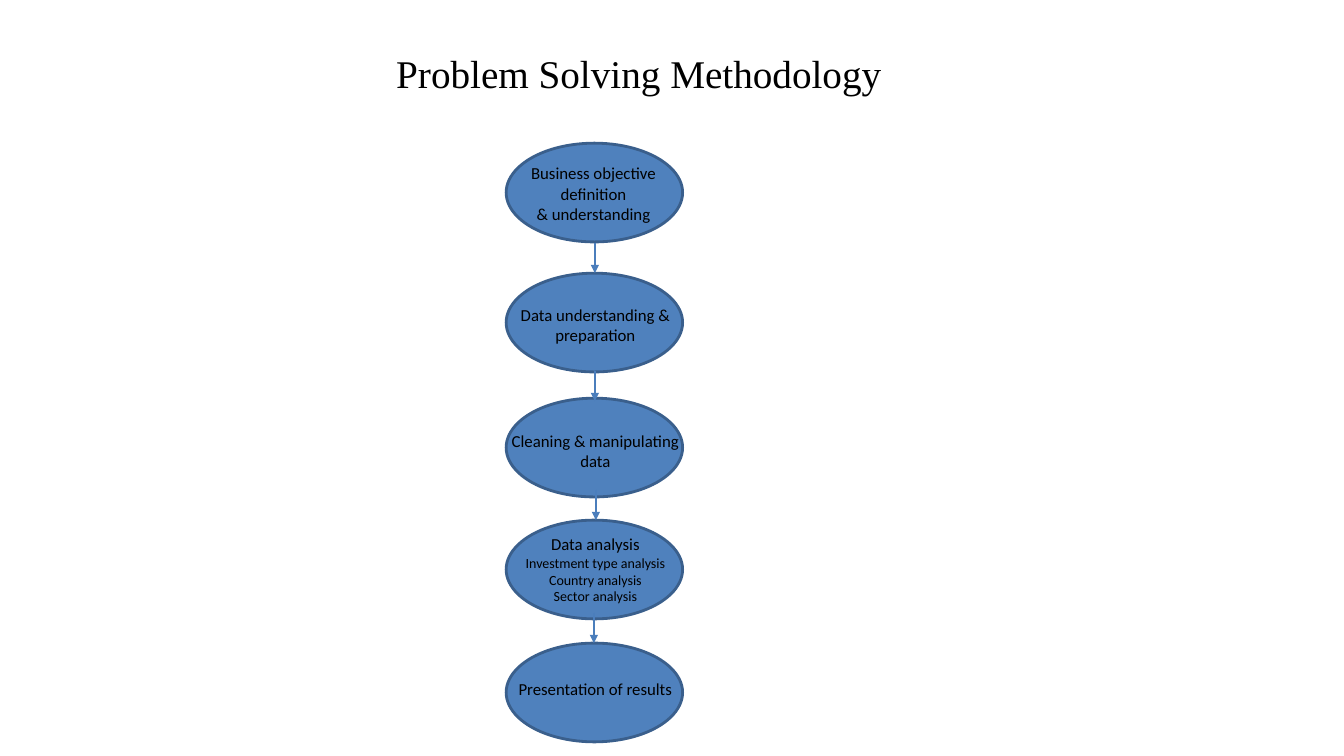
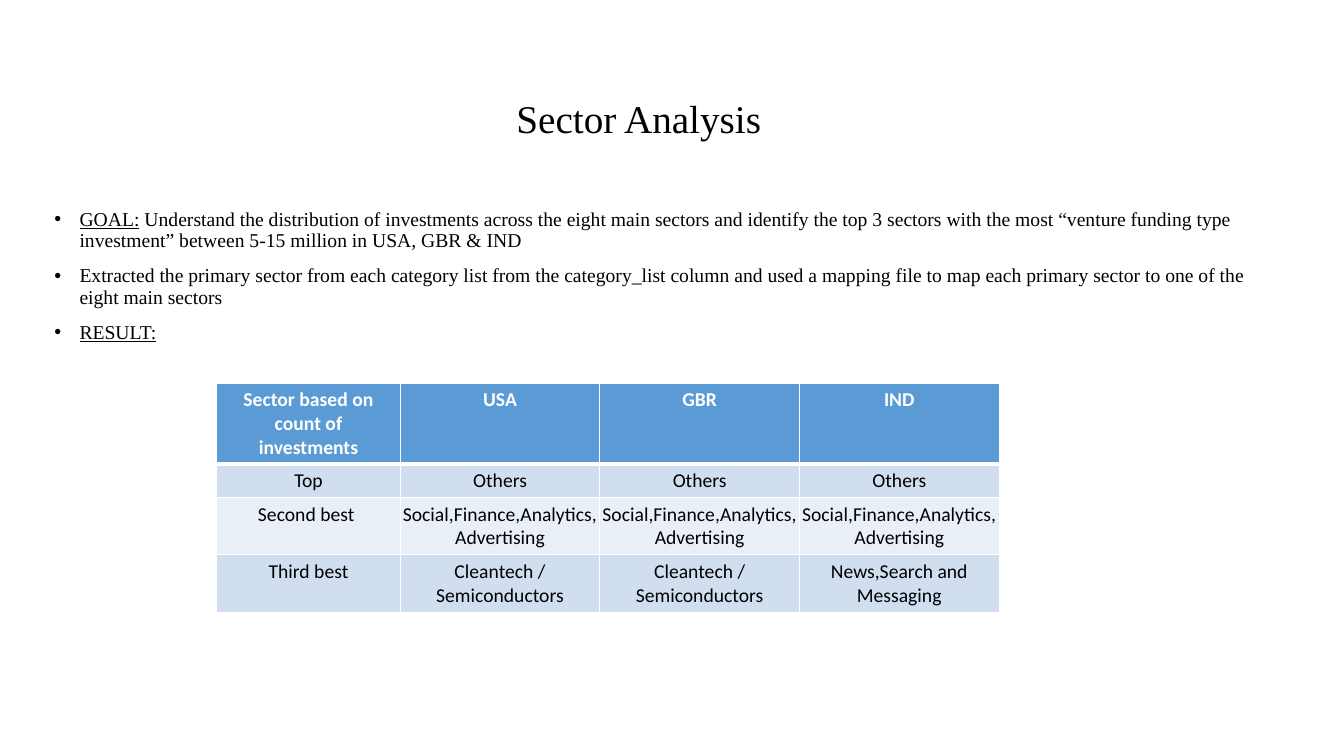
from lxml import etree
from pptx import Presentation
from pptx.dml.color import RGBColor
from pptx.enum.shapes import MSO_CONNECTOR, MSO_SHAPE
from pptx.enum.text import MSO_ANCHOR, PP_ALIGN
from pptx.oxml import parse_xml
from pptx.oxml.ns import nsdecls, qn
from pptx.util import Inches, Pt

CENTER = PP_ALIGN.CENTER
MIDDLE = MSO_ANCHOR.MIDDLE
OVAL = MSO_SHAPE.OVAL
STRAIGHT = MSO_CONNECTOR.STRAIGHT

SERIF, SANS = "Times New Roman", "Calibri"
BLACK, WHITE = "000000", "FFFFFF"
OVAL_FILL, OVAL_LINE, ARROW = "4F81BD", "3A5F8C", "4B7EBC"
HEADER, BAND_DARK, BAND_LIGHT = "5B9BD5", "D1DEEF", "E9EFF7"


def rgb(value):
    return RGBColor.from_string(value)


def add_run(p, text, size, font, color=BLACK, bold=False, underline=False):
    r = p.add_run()
    r.text = text
    r.font.size = Pt(size)
    r.font.name = font
    r.font.color.rgb = rgb(color)
    r.font.bold = bold
    r.font.underline = underline


prs = Presentation()
prs.slide_width, prs.slide_height = Inches(13.33), Inches(7.5)

# Titled slides
slides = []
for title, top in (("Problem Solving Methodology", 0.25), ("Sector Analysis", 0.7)):
    s = prs.slides.add_slide(prs.slide_layouts[5])
    sp = s.shapes.title
    sp.left, sp.top, sp.width, sp.height = Inches(1.24), Inches(top), Inches(10.19), Inches(0.94)
    sp.text_frame.vertical_anchor = MIDDLE
    p = sp.text_frame.paragraphs[0]
    p.alignment = CENTER
    add_run(p, title, 28, SERIF)
    slides.append(s)
flow, sector = slides

# Process steps: oval top, label top, label height, lines with sizes
steps = [
    (1.42, 1.57, 0.7, [("Business objective ", 12), ("definition ", 12), ("& understanding ", 12)]),
    (2.71, 2.97, 0.5, [("Data understanding & preparation", 12)]),
    (3.95, 4.22, 0.5, [("Cleaning & manipulating data", 12)]),
    (5.16, 5.25, 0.8, [("Data analysis", 12), ("Investment type analysis", 10),
                       ("Country analysis", 10), ("Sector analysis", 10)]),
    (6.38, 6.68, 0.3, [("Presentation of results", 12)]),
]
for oval_top, label_top, label_height, lines in steps:
    sp = flow.shapes.add_shape(OVAL, Inches(5.02), Inches(oval_top), Inches(1.75), Inches(0.98))
    sp.shadow.inherit = False
    sp.fill.solid()
    sp.fill.fore_color.rgb = rgb(OVAL_FILL)
    sp.line.color.rgb = rgb(OVAL_LINE)
    sp.line.width = Pt(2)

    label = flow.shapes.add_textbox(Inches(4.81), Inches(label_top), Inches(2.19), Inches(label_height))
    tf = label.text_frame
    tf.word_wrap = True
    tf.margin_left = tf.margin_right = Inches(0.12)
    for i, (text, size) in enumerate(lines):
        p = tf.add_paragraph() if i else tf.paragraphs[0]
        p.alignment = CENTER
        add_run(p, text, size, SANS)

# Arrows between the steps
for x, y in ((5.9, 2.41), (5.9, 3.68), (5.91, 4.86), (5.89, 6.08)):
    arrow = flow.shapes.add_connector(STRAIGHT, Inches(x), Inches(y), Inches(x), Inches(y + 0.3))
    arrow.line.color.rgb = rgb(ARROW)
    arrow.line.width = Pt(1)
    etree.SubElement(arrow.line._get_or_add_ln(), qn("a:tailEnd"), type="triangle")
    etree.SubElement(arrow._element.spPr, qn("a:effectLst"))

# Goal, method and result bullets: (text, underlined) runs
bullets = [
    [("GOAL:", True),
     (" Understand the distribution of investments across the eight main sectors and identify "
      "the top 3 sectors with the most “venture funding type investment” between 5-15 million "
      "in USA, GBR & IND", False)],
    [("Extracted the primary sector from each category list from the category_list column and "
      "used a mapping file to map each primary sector to one of the eight main sectors", False)],
    [("RESULT:", True)],
]
body = sector.shapes.add_textbox(Inches(0.44), Inches(2.03), Inches(12.21), Inches(4.75))
tf = body.text_frame
tf.word_wrap = True
for i, runs in enumerate(bullets):
    p = tf.add_paragraph() if i else tf.paragraphs[0]
    p.line_spacing = 0.9
    p.space_before = Pt(10)
    pPr = p._p.get_or_add_pPr()
    pPr.set("marL", str(Inches(0.25)))
    pPr.set("indent", str(Inches(-0.25)))
    etree.SubElement(pPr, qn("a:buFont"), typeface="Arial")
    etree.SubElement(pPr, qn("a:buChar"), char="•")
    for text, underline in runs:
        add_run(p, text, 14, SERIF, underline=underline)

# Sector table
SOCIAL = "Social,Finance,Analytics,Advertising"
CLEAN = "Cleantech / Semiconductors"
rows = [
    ["Sector based on count of investments", "USA", "GBR", "IND"],
    ["Top", "Others", "Others", "Others"],
    ["Second best ", SOCIAL, SOCIAL, SOCIAL],
    ["Third best", CLEAN, CLEAN, "News,Search and Messaging"],
]
fills = [HEADER, BAND_DARK, BAND_LIGHT, BAND_DARK]
widths = [1.82, 1.98, 1.98, 1.98]
heights = [0.79, 0.33, 0.57, 0.57]
table = sector.shapes.add_table(len(rows), len(widths), Inches(2.15), Inches(3.8),
                                Inches(sum(widths)), Inches(sum(heights))).table
for column, width in zip(table.columns, widths):
    column.width = Inches(width)
for i, texts in enumerate(rows):
    table.rows[i].height = Inches(heights[i])
    for j, text in enumerate(texts):
        cell = table.cell(i, j)
        cell.fill.solid()
        cell.fill.fore_color.rgb = rgb(fills[i])
        if i > 1 and j > 0:
            cell.margin_left = cell.margin_right = Inches(0.01)
        p = cell.text_frame.paragraphs[0]
        p.alignment = CENTER
        add_run(p, text, 14, SANS, BLACK if i else WHITE, bold=i == 0)
        # White borders, thick under the header
        tcPr = cell._tc.get_or_add_tcPr()
        for k, side in enumerate("LRTB"):
            thick = (i, side) in ((0, "B"), (1, "T"))
            tcPr.insert(k, parse_xml(
                f'<a:ln{side} {nsdecls("a")} w="{Pt(3 if thick else 1)}"><a:solidFill>'
                f'<a:srgbClr val="{WHITE}"/></a:solidFill></a:ln{side}>'))

prs.save("out.pptx")
